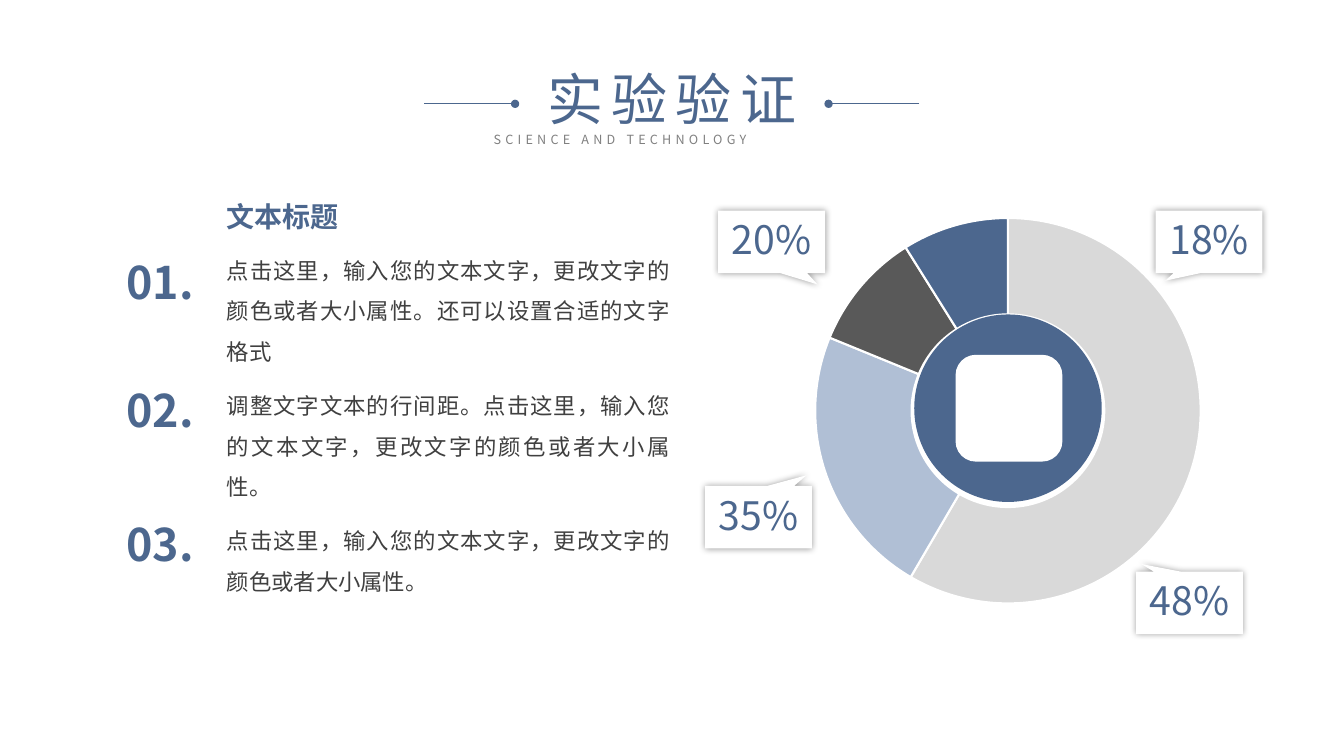
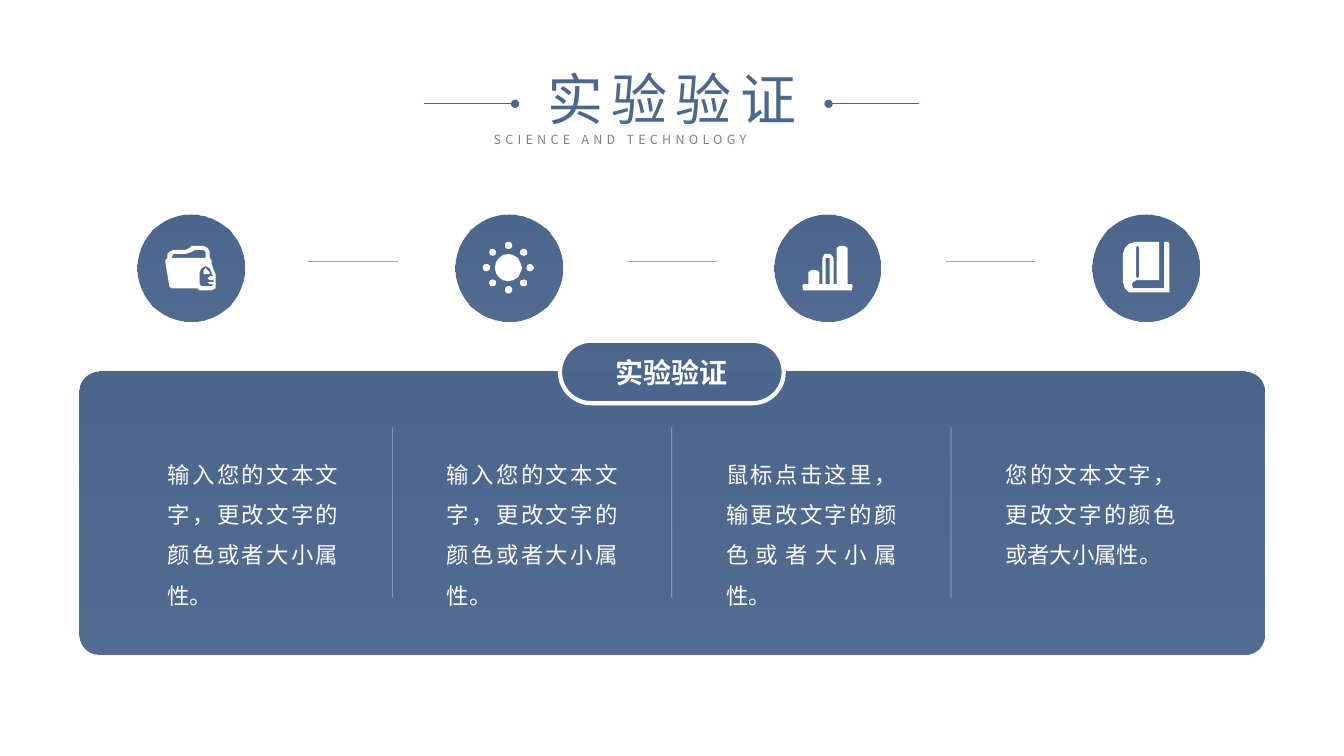
from math import cos, pi, sin

from lxml.etree import SubElement
from pptx import Presentation
from pptx.chart.data import CategoryChartData
from pptx.dml.color import RGBColor
from pptx.enum.chart import XL_CHART_TYPE
from pptx.enum.shapes import MSO_CONNECTOR, MSO_SHAPE
from pptx.enum.text import MSO_ANCHOR, PP_ALIGN
from pptx.oxml import parse_xml
from pptx.oxml.ns import nsdecls, qn
from pptx.util import Inches, Pt

# Grid: 75 rows on the slide's height, square cells
HEIGHT = Inches(7.5)
CELL = HEIGHT / 75

BLUE, WHITE, BLACK = "4C678E", "FFFFFF", "000000"
THEME = {
    "font": "Noto Sans CJK SC",
    "slices": ["D9D9D9", "B0BFD5", "595959", BLUE],
    "rule": "A6A6A6",
    "title": {"size": 40, "color": BLUE, "align": PP_ALIGN.CENTER, "tracking": 6},
    "subtitle": {"size": 9, "color": "808080", "align": PP_ALIGN.JUSTIFY, "tracking": 3},
    "heading": {"size": 20, "color": BLUE, "bold": True, "spacing": 1.5, "inset": 0},
    "number": {"size": 32, "color": BLUE, "bold": True, "align": PP_ALIGN.CENTER,
               "inset": 0, "anchor": MSO_ANCHOR.MIDDLE},
    "body": {"size": 16, "color": "404040", "align": PP_ALIGN.JUSTIFY,
             "spacing": 1.5, "inset": 0},
    "panel": {"size": 16, "color": WHITE, "align": PP_ALIGN.JUSTIFY, "spacing": 1.5},
    "pill": {"size": 20, "color": WHITE, "bold": True, "align": PP_ALIGN.CENTER,
             "anchor": MSO_ANCHOR.MIDDLE},
    "percent": {"size": 28, "color": BLUE, "align": PP_ALIGN.CENTER, "wrap": False},
}


def place(page, kind, at, fill=None, adjust=()):
    """Add a preset shape, or a text box if kind is None; fill "fade" is the blue gradient."""
    at = [round(cells * CELL) for cells in at]
    if kind is None:
        return page.shapes.add_textbox(*at)
    shape = page.shapes.add_shape(kind, *at)
    shape.shadow.inherit = False
    shape.line.fill.background()
    for index, value in enumerate(adjust):
        shape.adjustments[index] = value
    if fill == "fade":
        shape.fill.gradient()
        shape.fill.gradient_angle = 270
        for stop in shape.fill.gradient_stops:
            stop.color.rgb = RGBColor.from_string(BLUE)
        last_color = shape.element.findall(".//" + qn("a:srgbClr"))[-1]
        SubElement(last_color, qn("a:alpha"), val="97000")
    else:
        shape.fill.solid()
        shape.fill.fore_color.rgb = RGBColor.from_string(fill)
    return shape


def write(box, text, style):
    """Put one paragraph into a box, formatted by a theme entry."""
    look = THEME[style]
    frame = box.text_frame
    frame.word_wrap = look.get("wrap", True)
    frame.vertical_anchor = look.get("anchor", MSO_ANCHOR.TOP)
    if "inset" in look:
        for side in ("left", "top", "right", "bottom"):
            setattr(frame, "margin_" + side, look["inset"])
    para = frame.paragraphs[0]
    para.alignment = look.get("align", PP_ALIGN.LEFT)
    para.line_spacing = look.get("spacing", 1.0)
    para._p.get_or_add_pPr().set("hangingPunct", "0")
    span = para.add_run()
    span.text = text
    values = {"name": THEME["font"], "size": Pt(look["size"]), "bold": look.get("bold", False)}
    for name, value in values.items():
        setattr(span.font, name, value)
    span.font.color.rgb = RGBColor.from_string(look["color"])
    properties = span.font._element
    SubElement(properties, qn("a:ea"), typeface=THEME["font"])
    if "tracking" in look:
        properties.set("spc", str(look["tracking"] * 100))


deck = Presentation()
deck.slide_width, deck.slide_height = Inches(13.333), HEIGHT
chart_page, panel_page = [deck.slides.add_slide(deck.slide_layouts[6]) for _ in range(2)]

# Shared header; lines are (page, x1, y1, x2, y2, colour, opacity, end)
lines = []
for page in (chart_page, panel_page):
    write(place(page, None, (48, 12.55, 37.4, 2.5)), "SCIENCE AND TECHNOLOGY", "subtitle")
    write(place(page, None, (51.6, 5.9, 30.1, 7.7)), "实验验证", "title")
    for outer, inner in ((42.1, 51.1), (91.2, 82.2)):
        lines.append((page, outer, 10.3, inner, 10.3, BLUE, 100, "oval"))

# Doughnut chart
data = CategoryChartData()
data.categories = ["1", "2", "3", "4"]
data.add_series("Series 1", (59, 23, 10, 9))
place_at = [round(cells * CELL) for cells in (74.1, 20.4, 51.8, 40.9)]
chart = chart_page.shapes.add_chart(XL_CHART_TYPE.DOUGHNUT, *place_at, data).chart
chart.has_legend = chart.has_title = False
chart.font.name, chart.font.size = THEME["font"], Pt(10)
chart.font.color.rgb = RGBColor.from_string(BLACK)
plot = chart.plots[0]
plot.vary_by_categories = True
for index, color in enumerate(THEME["slices"]):
    slice_format = plot.series[0].points[index].format
    slice_format.fill.solid()
    slice_format.fill.fore_color.rgb = RGBColor.from_string(color)
    slice_format.line.color.rgb = RGBColor.from_string(WHITE)
    slice_format.line.width = Pt(1.5)
plot_area = chart._chartSpace.find(".//" + qn("c:plotArea"))
plot_area.find(".//" + qn("c:holeSize")).set("val", "75")
for old_layout in plot_area.findall(qn("c:layout")):
    plot_area.remove(old_layout)
layout = parse_xml(f"<c:layout {nsdecls('c')}><c:manualLayout/></c:layout>")
frame_values = {"layoutTarget": "inner", "xMode": "edge", "yMode": "edge",
                "x": "0.13", "y": "0.03", "w": "0.74", "h": "0.935"}
for tag, value in frame_values.items():
    SubElement(layout[0], qn("c:" + tag), val=value)
plot_area.insert(0, layout)

# Disc in the middle of the ring, with a plain emblem
place(chart_page, MSO_SHAPE.OVAL, (90.7, 31.2, 18.6, 18.6), BLUE)
place(chart_page, MSO_SHAPE.ROUNDED_RECTANGLE, (94.8, 35.2, 10.6, 10.6), WHITE, (0.19,))

# Percent callouts
callouts = [
    ("20%", 71.25, 20.9, (0.43, 0.68)),
    ("35%", 69.95, 48.2, (0.45, -0.67)),
    ("18%", 114.65, 20.9, (-0.41, 0.62)),
    ("48%", 112.7, 56.7, (-0.45, -0.62)),
]
for percent, left, top, pointer in callouts:
    callout = place(chart_page, MSO_SHAPE.RECTANGULAR_CALLOUT,
                    (left, top, 10.6, 6.2), WHITE, pointer)
    effects = callout.element.spPr.find(qn("a:effectLst"))
    shadow = SubElement(effects, qn("a:outerShdw"), blurRad=str(Pt(5)), dist="0", dir="0",
                        algn="ctr", rotWithShape="0")
    shadow_color = SubElement(shadow, qn("a:srgbClr"), val=BLACK)
    SubElement(shadow_color, qn("a:alpha"), val="40000")
    write(callout, percent, "percent")

# Numbered text
write(place(chart_page, None, (22.5, 18.1, 12.3, 4.5)), "文本标题", "heading")
items = [
    (25.2, "点击这里，输入您的文本文字，更改文字的颜色或者大小属性。还可以设置合适的文字格式"),
    (37.9, "调整文字文本的行间距。点击这里，输入您的文本文字，更改文字的颜色或者大小属性。"),
    (51.2, "点击这里，输入您的文本文字，更改文字的颜色或者大小属性。"),
]
for index, (number_top, text) in enumerate(items):
    write(place(chart_page, None, (10.9, number_top, 10, 5.4)), f"0{index + 1}.", "number")
    write(place(chart_page, None, (22.5, 24.2 + 13.4 * index, 44, 11.6)), text, "body")

# Panel with four text columns
place(panel_page, MSO_SHAPE.ROUNDED_RECTANGLE, (7.9, 36.9, 117.5, 28), "fade", (0.07,))
columns = [
    "输入您的文本文字，更改文字的颜色或者大小属性。",
    "输入您的文本文字，更改文字的颜色或者大小属性。",
    "鼠标点击这里，输更改文字的颜色或者大小属性。",
    "您的文本文字，更改文字的颜色或者大小属性。",
]
for index, text in enumerate(columns):
    left = 15.65 + 27.7 * index
    write(place(panel_page, None, (left, 43.9, 18.9, 17.2)), text, "panel")
    if index:
        lines.append((panel_page, left - 4.4, 42.4, left - 4.4, 59.3, WHITE, 47, None))
        link = 30.6 + 31.6 * (index - 1)
        lines.append((panel_page, link, 25.95, link + 8.9, 25.95, THEME["rule"], 100, None))
pill = place(panel_page, MSO_SHAPE.ROUNDED_RECTANGLE, (55.55, 33.8, 22.2, 6.2), "fade", (0.5,))
pill.line.color.rgb = RGBColor.from_string(WHITE)
pill.line.width = Pt(3)
write(pill, "实验验证", "pill")

# Icon contours: points in tenths of a cell from the disc's corner, inner contours are holes
folder = [
    [(57, 32), (66, 32), (70, 34), (71, 37), (71, 43), (74, 45), (74, 50), (76, 56), (78, 60),
     (78, 70), (77, 74), (73, 75), (62, 75), (60, 74), (34, 74), (31, 71), (27, 47), (28, 45),
     (30, 43), (30, 40), (31, 37), (35, 35), (48, 35), (51, 34), (53, 32)],
    [(57, 35), (53, 37), (48, 39), (35, 39), (34, 43), (68, 43), (68, 37), (66, 35)],
    [(68, 51), (64, 53), (62, 57), (62, 59), (61, 61), (61, 70), (63, 72), (73, 72), (75, 70),
     (72, 70), (70, 68), (72, 67), (75, 67), (75, 65), (72, 65), (70, 63), (72, 62), (75, 62),
     (73, 59), (73, 57), (72, 53)],
    [(68, 54), (66, 55), (65, 57), (65, 59), (71, 59), (71, 57), (70, 55)],
]
turns = [step * pi / 8 for step in range(16)]
circles = [(52, 53, 13.3)]
circles += [(52 + 21.7 * cos(turn), 53 + 21.7 * sin(turn), 3.6) for turn in turns[::2]]
sun = [[(x + radius * cos(turn), y + radius * sin(turn)) for turn in turns]
       for x, y, radius in circles]
bars = [
    [(75, 69), (73, 69), (73, 33), (70, 31), (65, 31), (62, 33), (62, 69), (59, 69), (59, 43),
     (56, 40), (50, 40), (48, 43), (48, 69), (45, 69), (45, 57), (42, 55), (37, 55), (34, 57),
     (34, 69), (31, 69), (29, 70), (28, 72), (29, 75), (31, 76), (75, 76), (77, 75), (78, 72),
     (77, 70)],
    [(51, 43), (55, 43), (55, 69), (51, 69)],
]
book = [
    [(75, 28), (71, 28), (71, 74), (43, 74), (40, 73), (39, 70), (40, 67), (43, 66), (65, 66),
     (66, 65), (66, 28), (42, 28), (36, 29), (32, 33), (30, 40), (30, 67), (32, 73), (36, 77),
     (42, 78), (75, 78), (76, 77), (76, 29)],
    [(43, 33), (44, 31), (45, 31), (46, 33), (46, 61), (45, 63), (44, 63), (43, 61)],
]

# Icon discs
for index, icon in enumerate((folder, sun, bars, book)):
    disc_left, disc_top = 13.65 + 31.57 * index, 21.25
    place(panel_page, MSO_SHAPE.OVAL, (disc_left, disc_top, 10.6, 10.6), "fade")
    builder = None
    for contour in icon:
        corners = [(disc_left * 10 + x, disc_top * 10 + y) for x, y in contour]
        if builder is None:
            builder = panel_page.shapes.build_freeform(*corners[0], scale=CELL / 10)
        else:
            builder.move_to(*corners[0])
        builder.add_line_segments(corners[1:], close=True)
    glyph = builder.convert_to_shape()
    glyph.shadow.inherit = False
    glyph.fill.solid()
    glyph.fill.fore_color.rgb = RGBColor.from_string(WHITE)
    glyph.line.fill.background()

# All lines
for page, x1, y1, x2, y2, color, opacity, end in lines:
    ends = [round(cells * CELL) for cells in (x1, y1, x2, y2)]
    line = page.shapes.add_connector(MSO_CONNECTOR.STRAIGHT, *ends)
    line.line.color.rgb = RGBColor.from_string(color)
    line.line.width = Pt(0.5)
    if opacity < 100:
        line_color = line.element.spPr.find(".//" + qn("a:srgbClr"))
        SubElement(line_color, qn("a:alpha"), val=str(opacity * 1000))
    if end:
        SubElement(line.element.spPr.find(qn("a:ln")), qn("a:tailEnd"), type=end)
    SubElement(line.element.spPr, qn("a:effectLst"))

deck.save("out.pptx")
